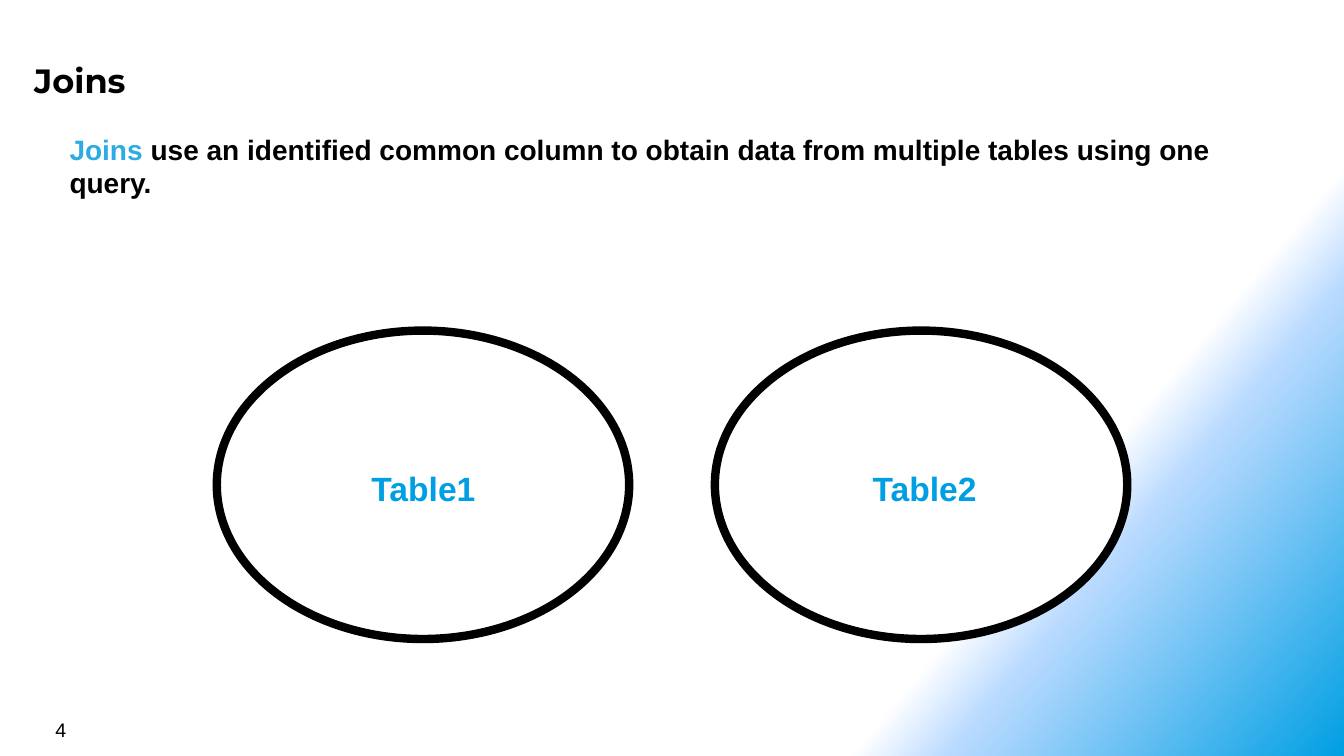
from lxml.etree import SubElement
from pptx import Presentation
from pptx.dml.color import RGBColor as RGB
from pptx.enum.shapes import MSO_SHAPE as SHAPE
from pptx.enum.text import MSO_AUTO_SIZE as SIZE, PP_ALIGN as ALIGN
from pptx.oxml.ns import qn
from pptx.util import Emu, Pt

SCALE = 9144  # EMU in one px, 100 px to the inch
BLACK = RGB(0x00, 0x00, 0x00)
WHITE = RGB(0xFF, 0xFF, 0xFF)
PALE = RGB(0xB9, 0xDA, 0xFF)
BLUE = RGB(0x00, 0x9F, 0xE3)
SKY = RGB(0x2E, 0xAB, 0xE2)


def px(*sizes):
    return [Emu(size * SCALE) for size in sizes]


class Deck:
    def __init__(self, width, height, face):
        self.face = face
        self.show = Presentation()
        self.show.slide_width, self.show.slide_height = px(width, height)
        self.slide = self.show.slides.add_slide(self.show.slide_layouts[6])

    def shade(self, stops, angle):
        """Fill the background; stops are (percent, colour, opacity percent)."""
        fill = self.slide.background.fill
        fill.gradient()
        fill.gradient_angle = 360 - angle
        ramp = next(self.slide.element.iter(qn("a:gsLst")))
        for old in list(ramp):
            ramp.remove(old)
        for place, color, alpha in stops:
            stop = SubElement(ramp, qn("a:gs"), pos=str(place * 1000))
            tint = SubElement(stop, qn("a:srgbClr"), val=str(color))
            if alpha < 100:
                SubElement(tint, qn("a:alpha"), val=str(alpha * 1000))

    def group(self):
        return self.slide.shapes.add_group_shape()

    def text(self, box, runs, size, face=None, inset=None, align=None,
             grow=False, home=None):
        """Write one paragraph of (words, colour) runs, in a group if given."""
        shapes = (home or self.slide).shapes
        frame = shapes.add_textbox(*px(*box)).text_frame
        frame.word_wrap = True
        frame.auto_size = SIZE.SHAPE_TO_FIT_TEXT if grow else SIZE.NONE
        if inset is not None:
            (frame.margin_left, frame.margin_top,
             frame.margin_right, frame.margin_bottom) = px(*[inset] * 4)
        para = frame.paragraphs[0]
        para.alignment = align
        para.font.name = face or self.face
        para.font.size = Pt(size)
        for words, color in runs:
            run = para.add_run()
            run.text = words
            run.font.color.rgb = color
        return para

    def oval(self, box, home, fill=None):
        shape = home.shapes.add_shape(SHAPE.OVAL, *px(*box))
        shape.shadow.inherit = False
        if fill is None:
            shape.fill.background()
        else:
            shape.fill.solid()
            shape.fill.fore_color.rgb = fill
        shape.line.color.rgb = BLACK
        shape.line.width = Pt(6)

    def save(self):
        self.show.save("out.pptx")


def main():
    deck = Deck(1333, 750, "Arial")
    deck.shade([(75, WHITE, 100), (80, PALE, 50), (100, BLUE, 100)], 40)

    lead = deck.text(
        (61, 123, 1214, 83),
        [("Joins ", SKY),
         ("use an identified common column to obtain data from multiple "
          "tables using one query.", BLACK)],
        20, inset=8, grow=True)
    lead.font.bold = True
    title = deck.text((26, 51, 1226, 55), [("Joins", BLACK)], 24,
                      face="Montserrat", inset=8)
    title.font.bold = True

    pair = deck.group()
    for left, fill in ((215, None), (709, WHITE)):
        deck.oval((left, 328, 409, 306), pair, fill)
    for left, name in ((340, "Table1"), (837, "Table2")):
        label = deck.text((left, 459, 160, 50), [(name, BLUE)], 24,
                          align=ALIGN.CENTER, grow=True, home=pair)
        label.font.bold = True

    deck.text((45, 707, 311, 33), [("4", BLACK)], 14)
    deck.save()


if __name__ == "__main__":
    main()
